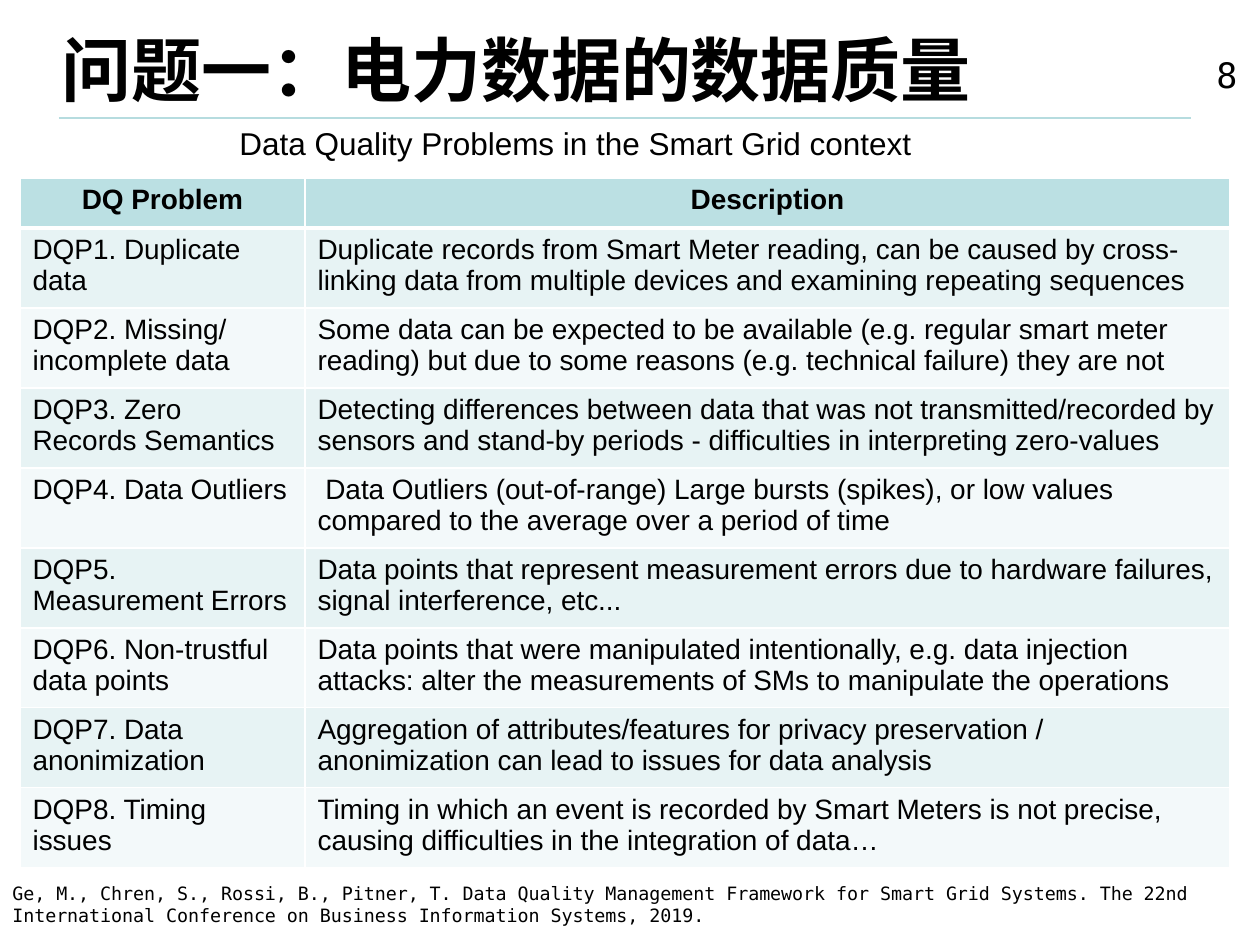
from dataclasses import dataclass
from typing import NamedTuple

from lxml.etree import SubElement
from pptx import Presentation
from pptx.dml.color import RGBColor
from pptx.enum.shapes import MSO_CONNECTOR
from pptx.enum.text import MSO_ANCHOR, MSO_AUTO_SIZE, PP_ALIGN
from pptx.oxml.ns import qn
from pptx.util import Emu, Pt

EMU_PER_INCH = 914400
PX_PER_INCH = 126


@dataclass(frozen=True)
class Theme:
    text: str = "000000"
    rule: str = "B6DCDF"
    border: str = "FFFFFF"
    header_fill: str = "BBE0E3"
    band_fills: tuple = ("E7F3F4", "F3F9FA")
    sans: str = "Arial"
    mono: str = "DejaVu Sans Mono"
    title_size: float = 40
    number_size: float = 20
    caption_size: float = 18
    table_size: float = 16
    source_size: float = 10.5


class Box(NamedTuple):
    left: int
    top: int
    width: int
    height: int


class Style(NamedTuple):
    font: str
    size: float
    bold: bool = False
    align: PP_ALIGN = PP_ALIGN.LEFT


class Label(NamedTuple):
    text: str
    box: Box
    style: Style
    anchor: MSO_ANCHOR = MSO_ANCHOR.TOP


class Problem(NamedTuple):
    name: str
    description: str


THEME = Theme()
TITLE = Label("问题一：电力数据的数据质量", Box(49, 20, 1157, 97),
              Style(THEME.mono, THEME.title_size, bold=True))
LABELS = [
    Label("Ge, M., Chren, S., Rossi, B., Pitner, T. Data Quality Management Framework "
          "for Smart Grid Systems. The 22nd International Conference on Business "
          "Information Systems, 2019.",
          Box(0, 876, 1260, 69), Style(THEME.mono, THEME.source_size)),
    Label("Data Quality Problems in the Smart Grid context",
          Box(227, 118, 728, 50), Style(THEME.sans, THEME.caption_size)),
    Label("8", Box(1182, 49, 68, 50),
          Style(THEME.mono, THEME.number_size, align=PP_ALIGN.RIGHT), MSO_ANCHOR.MIDDLE),
]
HEADER = Problem("DQ Problem", "Description")
PROBLEMS = [
    Problem("DQP1. Duplicate data",
            "Duplicate records from Smart Meter reading, can be caused by cross-linking "
            "data from multiple devices and examining repeating sequences"),
    Problem("DQP2. Missing/ incomplete data",
            "Some data can be expected to be available (e.g. regular smart meter reading) "
            "but due to some reasons (e.g. technical failure) they are not"),
    Problem("DQP3. Zero Records Semantics",
            "Detecting differences between data that was not transmitted/recorded by "
            "sensors and stand-by periods - difficulties in interpreting zero-values"),
    Problem("DQP4. Data Outliers",
            " Data Outliers (out-of-range) Large bursts (spikes), or low values compared "
            "to the average over a period of time"),
    Problem("DQP5.  Measurement Errors",
            "Data points that represent measurement errors due to hardware failures, "
            "signal interference, etc..."),
    Problem("DQP6. Non-trustful data points",
            "Data points that were manipulated intentionally, e.g. data injection attacks: "
            "alter the measurements of SMs to manipulate the operations"),
    Problem("DQP7. Data anonimization",
            "Aggregation of attributes/features for privacy preservation / anonimization "
            "can lead to issues for data analysis"),
    Problem("DQP8. Timing issues",
            "Timing in which an event is recorded by Smart Meters is not precise, causing "
            "difficulties in the integration of data…"),
]
TABLE_LEFT, TABLE_TOP = 20, 178
COLUMN_WIDTHS = (285, 925)
HEADER_HEIGHT, ROW_HEIGHT = 50, 80


def px(length: int) -> Emu:
    return Emu(round(length * EMU_PER_INCH / PX_PER_INCH))


def write(frame, text: str, style: Style) -> None:
    para = frame.paragraphs[0]
    para.alignment = style.align
    span = para.add_run()
    span.text = text
    span.font.name = style.font
    span.font.size = Pt(style.size)
    span.font.bold = style.bold
    span.font.color.rgb = RGBColor.from_string(THEME.text)


def fill_label(shape, label: Label) -> None:
    """Place a title or text box and write its label."""
    shape.left, shape.top, shape.width, shape.height = map(px, label.box)
    frame = shape.text_frame
    frame.word_wrap = True
    frame.auto_size = MSO_AUTO_SIZE.NONE
    frame.vertical_anchor = label.anchor
    write(frame, label.text, label.style)


def add_rule(page, left: int, right: int, top: int) -> None:
    rule = page.shapes.add_connector(
        MSO_CONNECTOR.STRAIGHT, px(left), px(top), px(right), px(top))
    rule.line.color.rgb = RGBColor.from_string(THEME.rule)
    rule.line.width = Pt(0.75)
    SubElement(rule.element.spPr, qn("a:effectLst"))


def set_borders(cell, top: float, bottom: float) -> None:
    """Draw the cell's borders; must run before its fill is set."""
    properties = cell._tc.get_or_add_tcPr()
    for side, width in (("L", 1), ("R", 1), ("T", top), ("B", bottom)):
        line = SubElement(properties, qn(f"a:ln{side}"), w=str(Pt(width)))
        solid = SubElement(line, qn("a:solidFill"))
        SubElement(solid, qn("a:srgbClr"), val=THEME.border)


def add_problem_table(page) -> None:
    rows = [HEADER, *PROBLEMS]
    height = HEADER_HEIGHT + ROW_HEIGHT * len(PROBLEMS)
    table = page.shapes.add_table(
        len(rows), len(COLUMN_WIDTHS), px(TABLE_LEFT), px(TABLE_TOP),
        px(sum(COLUMN_WIDTHS)), px(height)).table
    for column, width in zip(table.columns, COLUMN_WIDTHS):
        column.width = px(width)
    for index, problem in enumerate(rows):
        is_header = index == 0
        table.rows[index].height = px(HEADER_HEIGHT if is_header else ROW_HEIGHT)
        fill = THEME.header_fill if is_header else THEME.band_fills[(index - 1) % 2]
        style = Style(THEME.sans, THEME.table_size, is_header,
                      PP_ALIGN.CENTER if is_header else PP_ALIGN.LEFT)
        for cell, text in zip(table.rows[index].cells, problem):
            set_borders(cell, top=3 if index == 1 else 1, bottom=3 if is_header else 1)
            cell.fill.solid()
            cell.fill.fore_color.rgb = RGBColor.from_string(fill)
            write(cell.text_frame, text, style)


def main() -> None:
    deck = Presentation()
    deck.slide_width, deck.slide_height = px(1260), px(945)
    page = deck.slides.add_slide(deck.slide_layouts[5])
    add_rule(page, left=59, right=1191, top=118)
    fill_label(page.shapes.title, TITLE)
    for label in LABELS:
        fill_label(page.shapes.add_textbox(*map(px, label.box)), label)
    add_problem_table(page)
    deck.save("out.pptx")


if __name__ == "__main__":
    main()
